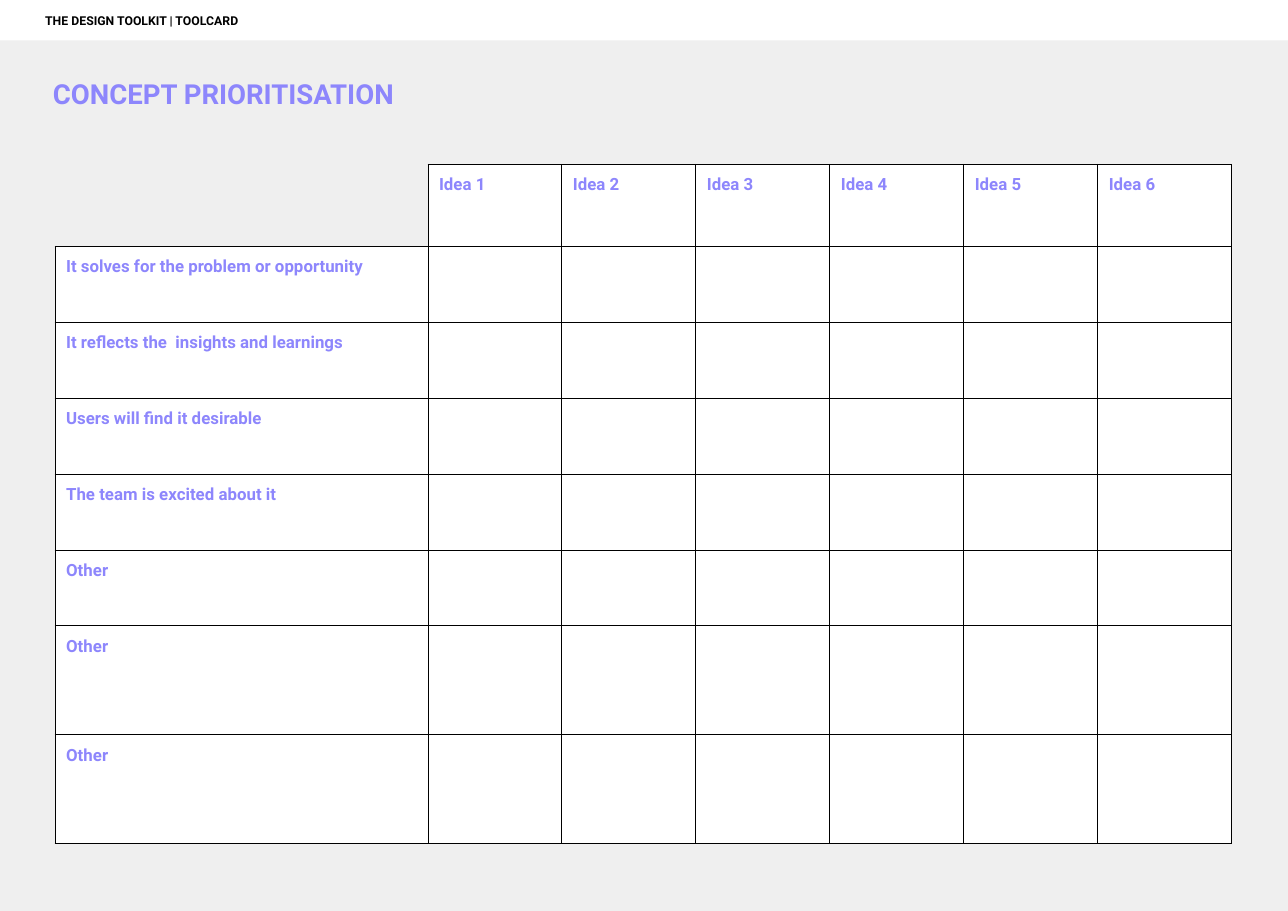
from dataclasses import dataclass

from lxml.etree import SubElement
from pptx import Presentation
from pptx.dml.color import RGBColor
from pptx.enum.shapes import MSO_SHAPE as Shape
from pptx.enum.text import MSO_ANCHOR as Anchor, PP_ALIGN as Align
from pptx.oxml import parse_xml
from pptx.oxml.ns import nsdecls, qn
from pptx.util import Pt

COLORS = {"page": "EFEFEF", "panel": "FFFFFF", "accent": "8D86FC", "ink": "000000"}
FONT = "Roboto"
SLIDE_WIDTH, SLIDE_HEIGHT = 841.68, 595.44
INSET = 7.2
MARGINS = {
    side: Pt(INSET)
    for side in ("margin_left", "margin_top", "margin_right", "margin_bottom")
}

IDEAS = [f"Idea {number}" for number in range(1, 7)]
CRITERIA = [
    "It solves for the problem or opportunity",
    "It reflects the  insights and learnings",
    "Users will find it desirable",
    "The team is excited about it",
    "Other",
    "Other",
    "Other",
]
TABLE_LEFT, TABLE_TOP = 36, 107.4
COLUMN_WIDTHS = [243.7] + [87.55] * len(IDEAS)
ROW_HEIGHTS = [53.6] + [49.66] * 5 + [71.2] * 2
BORDER_WIDTH = 0.75


@dataclass
class Panel:
    left: float
    top: float
    width: float
    height: float
    fill: str | None = None
    text: str = ""
    size: float = 0
    color: str = "ink"
    indent: float = 0


PANELS = [
    Panel(0, 0, SLIDE_WIDTH, SLIDE_HEIGHT, "page"),
    Panel(0, 42.5, 478, 36.7, None, "CONCEPT PRIORITISATION", 18, "accent", 27.4),
    Panel(0, 0, SLIDE_WIDTH, 26.4, "panel", "THE DESIGN TOOLKIT | TOOLCARD", 8, "ink", 22.3),
]


def rgb(name: str) -> RGBColor:
    return RGBColor.from_string(COLORS[name])


def apply_format(target, values: dict) -> None:
    for name, value in values.items():
        setattr(target, name, value)


def write_text(paragraph, text: str, size: float, color: str) -> None:
    run = paragraph.add_run()
    run.text = text
    apply_format(run.font, {"name": FONT, "size": Pt(size), "bold": True})
    run.font.color.rgb = rgb(color)


def add_panel(slide, panel: Panel) -> None:
    box = [Pt(value) for value in (panel.left, panel.top, panel.width, panel.height)]
    if panel.fill:
        shape = slide.shapes.add_shape(Shape.RECTANGLE, *box)
        shape.shadow.inherit = False
        shape.fill.solid()
        shape.fill.fore_color.rgb = rgb(panel.fill)
        shape.line.fill.background()
    else:
        shape = slide.shapes.add_textbox(*box)
    if panel.text:
        frame = shape.text_frame
        apply_format(frame, MARGINS | {
            "word_wrap": True,
            "vertical_anchor": Anchor.MIDDLE,
            "margin_left": Pt(INSET + panel.indent),
        })
        paragraph = frame.paragraphs[0]
        paragraph.alignment = Align.LEFT
        write_text(paragraph, panel.text, panel.size, panel.color)


def set_borders(cell, hidden: str) -> None:
    """Draw the four cell borders, except the sides listed in hidden."""
    properties = cell._tc.get_or_add_tcPr()
    for index, side in enumerate("LRTB"):
        line = parse_xml(f'<a:ln{side} {nsdecls("a")} w="{Pt(BORDER_WIDTH)}"/>')
        if side in hidden:
            SubElement(line, qn("a:noFill"))
        else:
            fill = SubElement(line, qn("a:solidFill"))
            SubElement(fill, qn("a:srgbClr"), val=COLORS["ink"])
        properties.insert(index, line)


def add_scoring_table(slide) -> None:
    table = slide.shapes.add_table(
        len(ROW_HEIGHTS), len(COLUMN_WIDTHS), Pt(TABLE_LEFT), Pt(TABLE_TOP),
        Pt(sum(COLUMN_WIDTHS)), Pt(sum(ROW_HEIGHTS)),
    ).table
    apply_format(table, {"first_row": False, "horz_banding": False})
    for column, width in zip(table.columns, COLUMN_WIDTHS):
        column.width = Pt(width)
    for row, height in zip(table.rows, ROW_HEIGHTS):
        row.height = Pt(height)

    # Cells: the top left corner stays open, the rest is a white grid
    for cell in table.iter_cells():
        apply_format(cell, MARGINS | {"vertical_anchor": Anchor.TOP})
        cell.fill.solid()
        cell.fill.fore_color.rgb = rgb("panel")
    corner = table.cell(0, 0)
    corner.fill.background()
    for cell in table.iter_cells():
        set_borders(cell, "LT" if cell._tc is corner._tc else "")

    # Headings
    headings = [(table.cell(0, column), text) for column, text in enumerate(IDEAS, 1)]
    headings += [(table.cell(row, 0), text) for row, text in enumerate(CRITERIA, 1)]
    for cell, text in headings:
        write_text(cell.text_frame.paragraphs[0], text, 11, "accent")


def main() -> None:
    presentation = Presentation()
    apply_format(presentation, {
        "slide_width": Pt(SLIDE_WIDTH), "slide_height": Pt(SLIDE_HEIGHT),
    })
    slide = presentation.slides.add_slide(presentation.slide_layouts[6])

    # Background, title and top band
    for panel in PANELS:
        add_panel(slide, panel)

    # Scoring grid
    add_scoring_table(slide)

    presentation.save("out.pptx")


if __name__ == "__main__":
    main()
